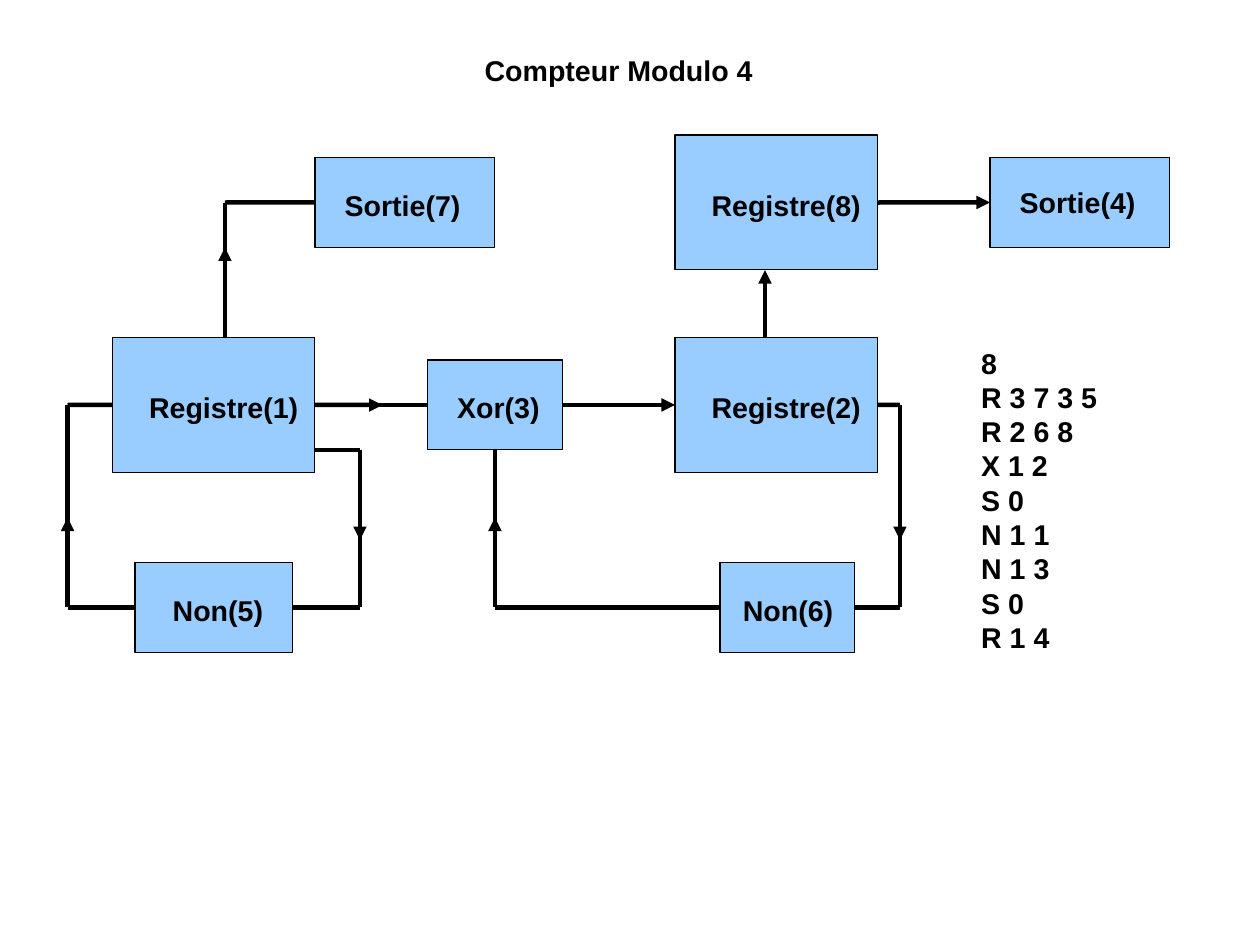
from dataclasses import dataclass
from itertools import pairwise

from lxml import etree
from pptx import Presentation, util as u
from pptx.dml import color
from pptx.enum import shapes, text
from pptx.oxml import ns

Point = tuple[float, float]
STEP = 0.5 / 2.54  # grid step of half a centimetre, in inches


@dataclass(frozen=True)
class Theme:
    font: str = "Arial"
    size: float = 18
    ink: color.RGBColor = color.RGBColor(0, 0, 0)
    fill: color.RGBColor = color.RGBColor(0x99, 0xCC, 0xFF)
    edge: float = 0
    wire: float = 2.83


@dataclass(frozen=True)
class Block:
    """A box in grid steps; pad and drop place its label, in inches."""
    label: str
    left: float
    top: float
    width: float
    height: float
    pad: float
    drop: float = 0.13  # how far the text starts above the middle

    def sides(self) -> list[Point]:
        """Middles of the sides, in connection site order."""
        mid_x, mid_y = self.left + self.width / 2, self.top + self.height / 2
        return [(mid_x, self.top), (self.left, mid_y),
                (mid_x, self.top + self.height), (self.left + self.width, mid_y)]


@dataclass(frozen=True)
class Wire:
    points: list[Point]
    tip: bool = False


@dataclass(frozen=True)
class Note:
    lines: list[str]
    left: float
    top: float
    width: float
    height: float
    align: text.PP_ALIGN = text.PP_ALIGN.LEFT


THEME = Theme()
BIG = (9, 6)
OUT = (8, 4)
GATE = (6, 4)

BLOCKS = [
    Block("Registre(1)", 5, 15, *BIG, 0.32),
    Block("Sortie(7)", 14, 7, *OUT, 0.26),
    Block("Xor(3)", 19, 16, *GATE, 0.26),
    Block("Registre(2)", 30, 15, *BIG, 0.32),
    Block("Non(5)", 6, 25, 7, 4, 0.33),
    Block("Non(6)", 32, 25, *GATE, 0.2),
    Block("Registre(8)", 30, 6, *BIG, 0.32),
    Block("Sortie(4)", 44, 7, *OUT, 0.26, 0.15),
]

WIRES = [
    Wire([(14, 18), (19, 18)]),
    Wire([(10, 15), (10, 9), (14, 9)]),
    Wire([(14, 20), (16, 20), (16, 27), (13, 27)]),
    Wire([(6, 27), (3, 27), (3, 18), (5, 18)]),
    Wire([(39, 18), (40, 18), (40, 27), (38, 27)]),
    Wire([(32, 27), (22, 27), (22, 20)]),
    Wire([(39, 9), (44, 9)], True),
    Wire([(34, 15), (34, 12)], True),
    Wire([(25, 18), (30, 18)], True),
    Wire([(16, 20), (16, 24)], True),
    Wire([(3, 24), (3, 23)], True),
    Wire([(10, 13), (10, 11)], True),
    Wire([(40, 19), (40, 24)], True),
    Wire([(22, 26), (22, 23)], True),
    Wire([(14, 18), (17, 18)], True),
]

NOTES = [
    Note(["Compteur Modulo 4"], 18, 2, 19, 2.13, text.PP_ALIGN.CENTER),
    Note(["8", "R 3 7 3 5", "R 2 6 8", "X 1 2", "S 0", "N 1 1", "N 1 3",
          "S 0", "R 1 4"], 43, 15, 9, 13.5),
]


def grid(*steps: float) -> list[u.Length]:
    """Turn grid steps into lengths."""
    return [u.Inches(step * STEP) for step in steps]


def write(frame, lines: list[str], align: text.PP_ALIGN,
          pads: tuple[float, float, float, float]) -> None:
    """Fill a frame; pads are left, top, right and bottom."""
    frame.word_wrap = True
    frame.vertical_anchor = text.MSO_ANCHOR.TOP
    (frame.margin_left, frame.margin_top,
     frame.margin_right, frame.margin_bottom) = map(u.Inches, pads)
    for i, line in enumerate(lines):
        para = frame.add_paragraph() if i else frame.paragraphs[0]
        para.alignment = align
        run = para.add_run()
        run.text = line
        run.font.name = THEME.font
        run.font.size = u.Pt(THEME.size)
        run.font.bold = True
        run.font.color.rgb = THEME.ink


def draw_block(slide, block: Block):
    box = slide.shapes.add_shape(
        shapes.MSO_SHAPE.RECTANGLE,
        *grid(block.left, block.top, block.width, block.height))
    box.shadow.inherit = False
    box.fill.solid()
    box.fill.fore_color.rgb = THEME.fill
    box.line.color.rgb = THEME.ink
    box.line.width = u.Pt(THEME.edge)
    write(box.text_frame, [block.label], text.PP_ALIGN.LEFT,
          (block.pad, block.height * STEP / 2 - block.drop, 0, 0))
    return box


def join(link, ends: tuple[Point, Point], boxes: list) -> None:
    """Attach the ends of a link that meet the middle of a block's side."""
    for block, box in boxes:
        for site, side in enumerate(block.sides()):
            for end, attach in zip(ends, (link.begin_connect, link.end_connect)):
                if end == side:
                    attach(box, site)


def draw_wire(slide, wire: Wire, boxes: list) -> None:
    for start, end in pairwise(wire.points):
        link = slide.shapes.add_connector(
            shapes.MSO_CONNECTOR.STRAIGHT, *grid(*start, *end))
        link.line.color.rgb = THEME.ink
        link.line.width = u.Pt(THEME.wire)
        if wire.tip:
            etree.SubElement(link._element.spPr.find(ns.qn("a:ln")),
                             ns.qn("a:tailEnd"), type="triangle")
        etree.SubElement(link._element.spPr, ns.qn("a:effectLst"))
        join(link, (start, end), boxes)


def draw_note(slide, note: Note) -> None:
    box = slide.shapes.add_textbox(
        *grid(note.left, note.top, note.width, note.height))
    write(box.text_frame, note.lines, note.align, (0.12, 0.07, 0.12, 0.07))


def main() -> None:
    deck = Presentation()
    deck.slide_width, deck.slide_height = grid(56, 42)
    slide = deck.slides.add_slide(deck.slide_layouts[6])
    boxes = [(block, draw_block(slide, block)) for block in BLOCKS]
    for wire in WIRES:
        draw_wire(slide, wire, boxes)
    for note in NOTES:
        draw_note(slide, note)
    deck.save("out.pptx")


if __name__ == "__main__":
    main()
